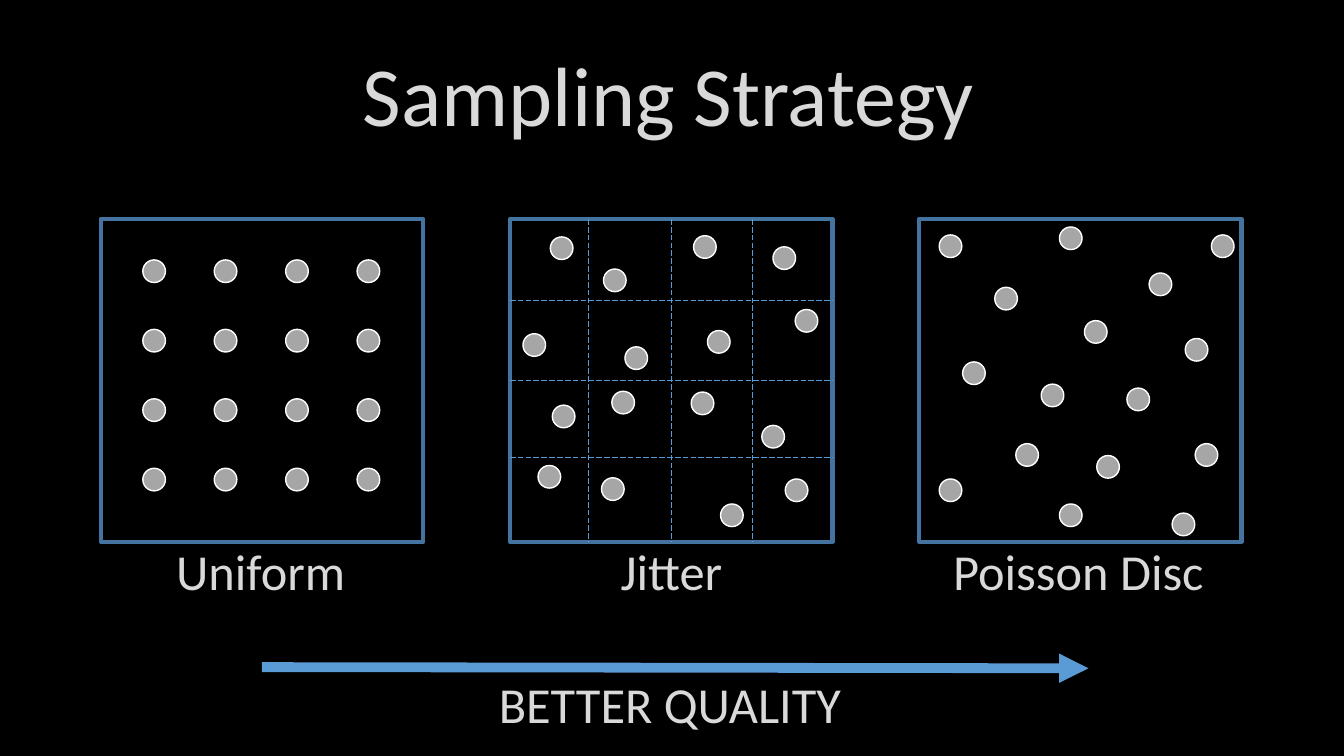
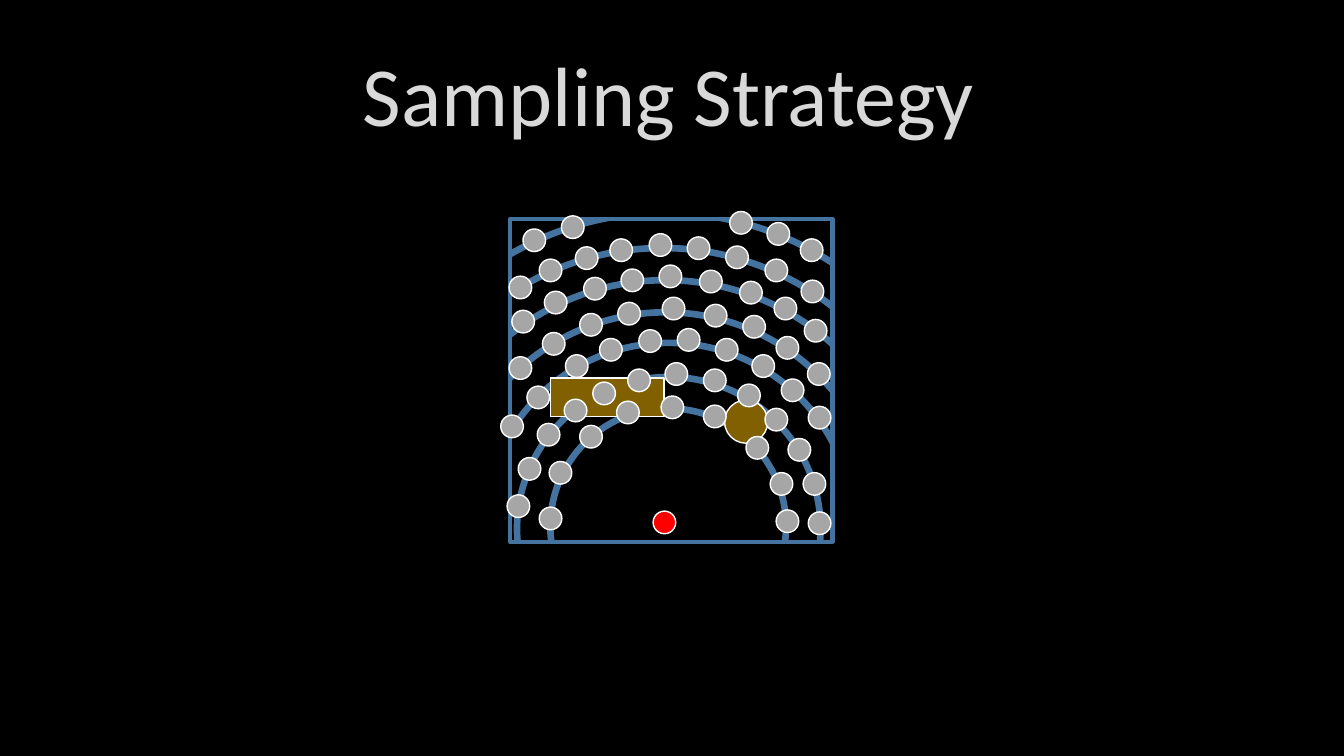
from itertools import product

from lxml import etree
from pptx import Presentation
from pptx.dml.color import RGBColor
from pptx.enum import dml, shapes, text
from pptx.oxml import ns
from pptx import util as u


# Theme: colours, type sizes, line widths
class Theme:
    back = RGBColor(0x00, 0x00, 0x00)
    ink = RGBColor(0xD9, 0xD9, 0xD9)
    frame = RGBColor(0x43, 0x73, 0x9E)
    blue = RGBColor(0x5B, 0x9B, 0xD5)
    gray = RGBColor(0xA6, 0xA6, 0xA6)
    white = RGBColor(0xFF, 0xFF, 0xFF)
    red = RGBColor(0xFF, 0x00, 0x00)
    brown = RGBColor(0x80, 0x60, 0x00)
    font = "Calibri"
    title, label = 60, 36
    thin, edge, box, ring, arrow = 0.5, 1, 3, 4.75, 7


RECT = shapes.MSO_SHAPE.RECTANGLE
OVAL = shapes.MSO_SHAPE.OVAL

# Layout, in centimetres
SIDE, TOP, PITCH = 8.13, 5.52, 10.31
LEFTS = [2.54 + PITCH * i for i in range(3)]
MID = LEFTS[1]
DOT = 0.57

# Sample positions (left, top of each dot)
UNIFORM = [(3.6 + 1.8 * col, 6.55 + 1.75 * row)
           for row, col in product(range(4), repeat=2)]
JITTER = [
    (13.87, 5.97), (15.21, 6.78), (17.48, 5.94), (19.48, 6.22),
    (13.18, 8.41), (15.75, 8.74), (17.83, 8.33), (20.04, 7.8),
    (13.92, 10.21), (15.42, 9.86), (17.42, 9.88), (19.2, 10.72),
    (13.56, 11.73), (15.16, 12.04), (18.16, 12.7), (19.79, 12.07),
]
POISSON = [
    (25.07, 7.24), (28.4, 9.78), (28.96, 6.88), (23.67, 12.07),
    (30.12, 11.18), (27.33, 8.08), (24.26, 9.12), (26.7, 12.7),
    (25.6, 11.18), (26.7, 5.72), (29.54, 12.93), (23.67, 5.92),
    (29.87, 8.53), (30.53, 5.92), (26.24, 9.68), (27.64, 11.48),
]

# Rings (left, top, width) and the dots along each, inside out
RINGS = [
    (13.87, 10.29, 5.94), (13.03, 9.5, 7.65), (12.19, 8.64, 9.32),
    (11.3, 7.87, 10.95), (10.49, 7.06, 12.57), (9.75, 6.25, 13.89),
    (9.02, 5.36, 15.44),
]
TRAILS = [
    [(13.59, 12.78), (13.84, 11.63), (14.61, 10.72), (15.54, 10.11),
     (16.66, 9.98), (17.73, 10.21), (18.8, 11), (19.41, 11.91),
     (19.56, 12.85)],
    [(20.37, 12.9), (20.24, 11.91), (19.86, 11.05), (19.28, 10.29),
     (18.59, 9.68), (17.73, 9.3), (16.76, 9.14), (15.82, 9.3),
     (14.94, 9.63), (14.22, 10.06), (13.54, 10.67), (13.06, 11.53),
     (12.78, 12.47)],
    [(20.37, 10.24), (19.69, 9.55), (18.95, 8.94), (18.03, 8.53),
     (17.07, 8.28), (16.1, 8.31), (15.11, 8.53), (14.25, 8.94),
     (13.28, 9.73), (12.62, 10.46)],
    [(20.35, 9.14), (19.56, 8.48), (18.72, 7.95), (17.75, 7.67),
     (16.69, 7.49), (15.57, 7.62), (14.61, 7.9), (13.67, 8.38),
     (12.83, 8.99)],
    [(20.27, 8.05), (19.51, 7.49), (18.64, 7.09), (17.63, 6.81),
     (16.61, 6.68), (15.65, 6.78), (14.71, 6.99), (13.72, 7.34),
     (12.9, 7.82)],
    [(20.19, 7.06), (19.28, 6.53), (18.29, 6.2), (17.32, 5.97),
     (16.36, 5.89), (15.37, 6.02), (14.5, 6.22), (13.59, 6.53),
     (12.83, 6.96)],
    [(20.17, 6.02), (19.33, 5.61), (18.39, 5.33), (14.15, 5.44),
     (13.18, 5.77)],
]

# Covers that trim the rings to the panel (left, top, width, height)
COVERS = [
    (5.99, 13.69, 21.39, 7.14), (4.95, 5.36, 7.87, 9.55),
    (20.98, 4.8, 7.87, 9.55), (13.11, 4.39, 7.87, 1.12),
]


# Helpers
def style(item, values):
    for name, value in values.items():
        setattr(item, name, value)


def lengths(*values):
    return [u.Cm(value) for value in values]


def write(shape, words, size):
    frame = shape.text_frame
    style(frame, {"text": words, "word_wrap": False,
                  "auto_size": text.MSO_AUTO_SIZE.SHAPE_TO_FIT_TEXT})
    para = frame.paragraphs[0]
    para.alignment = text.PP_ALIGN.LEFT
    font = para.runs[0].font
    style(font, {"name": Theme.font, "size": u.Pt(size)})
    font.color.rgb = Theme.ink


def head(slide, words):
    title = slide.shapes.title
    left, top, width, height = lengths(8.89, 0.94, 16.08, 2.82)
    style(title, {"left": left, "top": top,
                  "width": width, "height": height})
    write(title, words, Theme.title)


def label(slide, words, left, top, width):
    box = slide.shapes.add_textbox(*lengths(left, top, width, 1.8))
    write(box, words, Theme.label)


def draw(slide, kind, place, fill=None, line=Theme.white, width=Theme.edge):
    shape = slide.shapes.add_shape(kind, *lengths(*place))
    shape.shadow.inherit = False
    if fill is None:
        shape.fill.background()
    else:
        shape.fill.solid()
        shape.fill.fore_color.rgb = fill
    shape.line.color.rgb = line
    shape.line.width = u.Pt(width)
    return shape


def panel(slide, left):
    return draw(slide, RECT, (left, TOP, SIDE, SIDE),
                line=Theme.frame, width=Theme.box)


def dots(slide, spots, fill=Theme.gray):
    for left, top in spots:
        draw(slide, OVAL, (left, top, DOT, DOT), fill)


def stroke(slide, ends, width, dash=None):
    line = slide.shapes.add_connector(
        shapes.MSO_CONNECTOR.STRAIGHT, *lengths(*ends))
    line.line.color.rgb = Theme.blue
    style(line.line, {"width": u.Pt(width), "dash_style": dash})
    etree.SubElement(line._element.spPr, ns.qn("a:effectLst"))
    return line


def arrow(slide, ends):
    line = stroke(slide, ends, Theme.arrow)
    tip = etree.SubElement(line.line._get_or_add_ln(), ns.qn("a:tailEnd"))
    tip.set("type", "triangle")


def grid(slide, box):
    half, end = SIDE / 2, TOP + SIDE
    joins = {(MID + half, TOP, MID + half, end): (0, 2),
             (MID, TOP + half, MID + SIDE, TOP + half): (1, 3)}
    others = [(x, TOP, x, end) for x in (14.82, 18.95)]
    others += [(MID, y, MID + SIDE, y) for y in (7.57, 11.53)]
    for ends in [*joins, *others]:
        line = stroke(slide, ends, Theme.thin, dml.MSO_LINE.LONG_DASH)
        if ends in joins:
            first, last = joins[ends]
            line.begin_connect(box, first)
            line.end_connect(box, last)


# Slides
def compare(slide):
    boxes = [panel(slide, left) for left in LEFTS]
    head(slide, "Sampling Strategy")
    for words, left, width in (("Uniform", 4.19, 4.83),
                               ("Jitter", 15.39, 3.12),
                               ("Poisson Disc", 23.77, 6.88)):
        label(slide, words, left, 13.49, width)
    grid(slide, boxes[1])
    for spots in (UNIFORM, JITTER, POISSON):
        dots(slide, spots)
    arrow(slide, (6.6, 16.81, 27.43, 16.84))
    label(slide, "BETTER QUALITY", 12.32, 16.84, 9.22)


def radial(slide):
    for left, top, size in RINGS:
        draw(slide, OVAL, (left, top, size, size),
             line=Theme.frame, width=Theme.ring)
    for place in COVERS:
        draw(slide, RECT, place, Theme.back, Theme.back)
    panel(slide, MID)
    head(slide, "Sampling Strategy")
    # Source and obstacles
    dots(slide, [(16.46, 12.88)], Theme.red)
    draw(slide, OVAL, (18.26, 10.08, 1.09, 1.09), Theme.brown)
    draw(slide, RECT, (13.87, 9.53, 2.87, 0.97), Theme.brown)
    for spots in TRAILS:
        dots(slide, spots)


def main():
    deck = Presentation()
    style(deck, {"slide_width": u.Cm(33.87), "slide_height": u.Cm(19.05)})
    fill = deck.slide_master.background.fill
    fill.solid()
    fill.fore_color.rgb = Theme.back
    for build in (compare, radial):
        build(deck.slides.add_slide(deck.slide_layouts[5]))
    deck.save("out.pptx")


if __name__ == "__main__":
    main()
